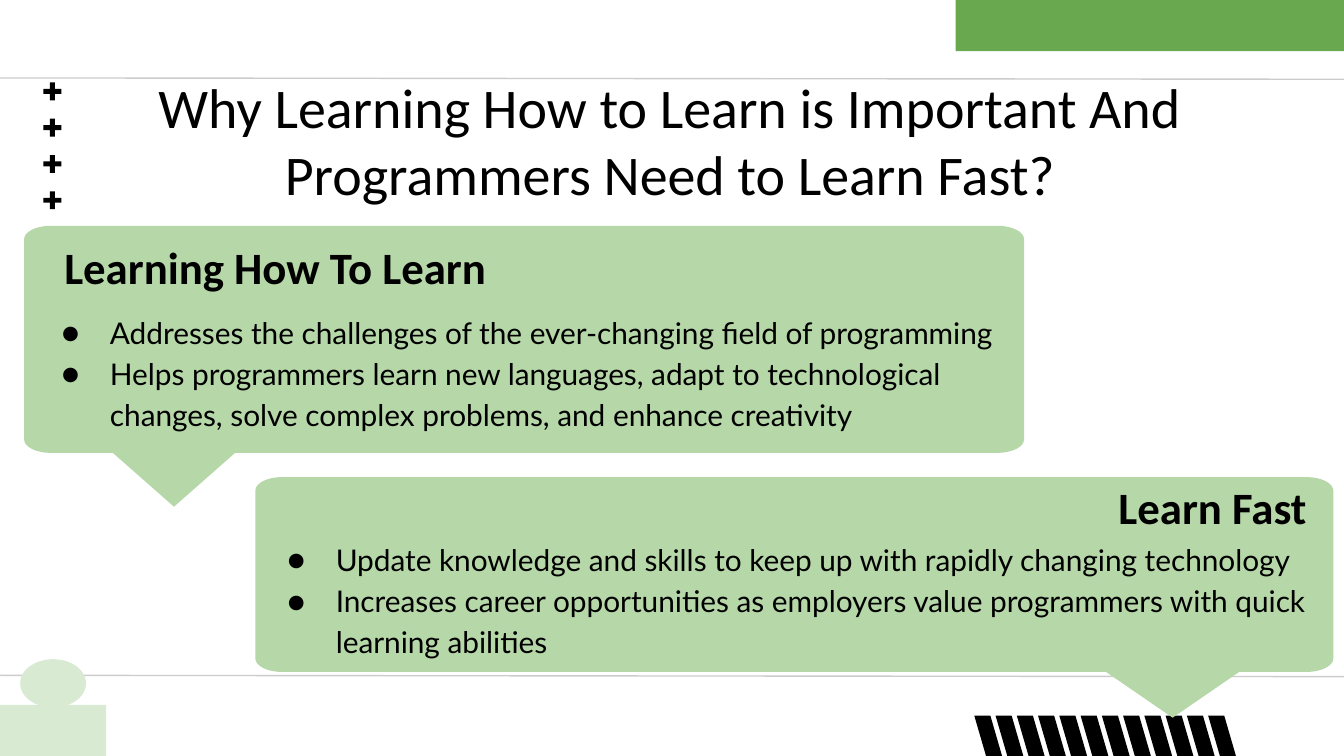
import math
from dataclasses import dataclass
from lxml import etree
from pptx import Presentation, util as u
from pptx.dml.color import RGBColor
from pptx.enum import shapes, text
from pptx.oxml import ns


@dataclass(frozen=True)
class Theme:
    ink: str = "000000"
    rule: str = "CCCCCC"
    banner: str = "6AA850"
    pale: str = "D9EAD3"
    bubble: str = "B6D7A8"
    heading_font: str = "Calibri"
    body_font: str = "Lato"
    title_size: int = 30
    heading_size: int = 24
    body_size: int = 16


THEME = Theme()
SHAPE = shapes.MSO_SHAPE
ALIGN = text.PP_ALIGN
ANCHOR = text.MSO_ANCHOR
SLIDE_WIDTH = 10
SLIDE_HEIGHT = SLIDE_WIDTH * 9 / 16


def inches(*lengths):
    return [u.Inches(length) for length in lengths]


def paint(shape, color):
    shape.shadow.inherit = False
    shape.fill.solid()
    shape.fill.fore_color.rgb = RGBColor.from_string(color)
    shape.line.fill.background()


def add_block(slide, kind, box, color):
    block = slide.shapes.add_shape(kind, *inches(*box))
    paint(block, color)
    return block


def set_font(paragraph, name, size, bold=False):
    paragraph.font.name = name
    paragraph.font.size = u.Pt(size)
    paragraph.font.bold = bold
    paragraph.font.color.rgb = RGBColor.from_string(THEME.ink)


def set_frame(frame, anchor):
    frame.word_wrap = True
    frame.auto_size = text.MSO_AUTO_SIZE.NONE
    frame.vertical_anchor = anchor
    frame.margin_left = frame.margin_right = u.Inches(0.1)
    frame.margin_top = frame.margin_bottom = u.Inches(0.1)


def add_bullet(paragraph):
    properties = paragraph._p.get_or_add_pPr()
    properties.set("marL", str(u.Inches(0.5)))
    properties.set("indent", str(u.Inches(-0.36)))
    color = etree.SubElement(properties, ns.qn("a:buClr"))
    etree.SubElement(color, ns.qn("a:srgbClr"), val=THEME.ink)
    etree.SubElement(properties, ns.qn("a:buFont"), typeface=THEME.body_font)
    etree.SubElement(properties, ns.qn("a:buChar"), char="●")


def add_rule(slide, start, end):
    rule = slide.shapes.add_connector(
        shapes.MSO_CONNECTOR.STRAIGHT, *inches(*start, *end))
    rule.line.color.rgb = RGBColor.from_string(THEME.rule)
    rule.line.width = u.Pt(0.75)
    etree.SubElement(rule._element.spPr, ns.qn("a:effectLst"))


def add_plus_column(slide, box, count):
    left, top, size, pitch = box
    for row in range(count):
        plus = add_block(slide, SHAPE.MATH_PLUS,
                         (left, top + row * pitch, size, size), THEME.ink)
        plus.adjustments[0] = 0.2


def add_stripes(slide, box, count):
    left, top, width, height = box
    stripe_width = 0.23
    pitch = (width - stripe_width) / (count - 1)
    for column in range(count):
        stripe = add_block(slide, SHAPE.PARALLELOGRAM,
                           (left + column * pitch, top, stripe_width, height), THEME.ink)
        stripe.adjustments[0] = 0.48
        stripe._element.spPr.xfrm.set("flipH", "1")


def add_decoration(slide, box):
    left, top, width, height = box
    right, bottom = left + width, top + height
    add_rule(slide, (left, top + 0.58), (right, top + 0.59))
    add_rule(slide, (left, bottom - 0.6), (right, bottom - 0.59))
    add_block(slide, SHAPE.RECTANGLE, (right - 2.89, top, 2.89, 0.38), THEME.banner)
    add_block(slide, SHAPE.RECTANGLE, (left, bottom - 0.38, 0.79, 0.38), THEME.pale)
    add_block(slide, SHAPE.OVAL, (left + 0.15, bottom - 0.72, 0.49, 0.36), THEME.pale)
    add_plus_column(slide, (left + 0.3, top + 0.59, 0.18, 0.27), 4)
    add_stripes(slide, (left + 7.25, bottom - 0.3, 1.97, 0.38), 12)


def add_title(slide, box, wording):
    title = slide.shapes.title
    title.left, title.top, title.width, title.height = inches(*box)
    set_frame(title.text_frame, ANCHOR.TOP)
    title.text_frame.text = wording
    paragraph = title.text_frame.paragraphs[0]
    paragraph.alignment = ALIGN.CENTER
    paragraph.line_spacing = 1.0
    set_font(paragraph, THEME.heading_font, THEME.title_size)


def add_bubble_outline(slide, box, tail_left, tail_width, tail_depth):
    left, top, width, height = box
    right, bottom = left + width, top + height
    radius_x, radius_y, steps = 0.2, 0.1, 8
    corners = [(right - radius_x, top + radius_y, -90),
               (right - radius_x, bottom - radius_y, 0),
               (left + radius_x, bottom - radius_y, 90),
               (left + radius_x, top + radius_y, 180)]
    arcs = []
    for center_x, center_y, start in corners:
        angles = [math.radians(start + 90 * step / steps) for step in range(steps + 1)]
        arcs.append([(center_x + radius_x * math.cos(angle),
                      center_y + radius_y * math.sin(angle)) for angle in angles])
    tail_start = left + tail_left
    tail = [(tail_start + tail_width, bottom),
            (tail_start + tail_width / 2, bottom + tail_depth),
            (tail_start, bottom)]
    outline = arcs[0] + arcs[1] + tail + arcs[2] + arcs[3]
    points = [inches(*point) for point in outline]
    builder = slide.shapes.build_freeform(*points[0])
    builder.add_line_segments(points[1:], close=True)
    paint(builder.convert_to_shape(), THEME.bubble)


def add_bubble(slide, box, tail, heading, heading_box, align, points, list_box):
    left, top = box[:2]
    add_bubble_outline(slide, box, *tail)

    def add_text(part_box, anchor):
        x, y, width, height = part_box
        frame = slide.shapes.add_textbox(*inches(left + x, top + y, width, height)).text_frame
        set_frame(frame, anchor)
        return frame

    points_frame = add_text(list_box, ANCHOR.TOP)
    points_frame.text = "\n".join(points)
    for paragraph in points_frame.paragraphs:
        add_bullet(paragraph)
        paragraph.line_spacing = 1.15
        set_font(paragraph, THEME.body_font, THEME.body_size)

    heading_frame = add_text(heading_box, ANCHOR.BOTTOM)
    heading_frame.text = heading
    paragraph = heading_frame.paragraphs[0]
    paragraph.alignment = align
    set_font(paragraph, THEME.heading_font, THEME.heading_size, bold=True)


def main():
    deck = Presentation()
    deck.slide_width, deck.slide_height = inches(SLIDE_WIDTH, SLIDE_HEIGHT)
    slide = deck.slides.add_slide(deck.slide_layouts[5])
    add_decoration(slide, (0, 0, SLIDE_WIDTH, SLIDE_HEIGHT))
    add_title(slide, (0.98, 0.44, 8.01, 1.09),
              "Why Learning How to Learn is Important And Programmers Need to Learn Fast?")
    add_bubble(slide, (0.18, 1.68, 7.44, 1.69), (0.66, 0.91, 0.4),
               "Learning How To Learn", (0.2, 0.08, 4.61, 0.52), ALIGN.LEFT,
               ["Addresses the challenges of the ever-changing field of programming",
                "Helps programmers learn new languages, adapt to technological changes, "
                "solve complex problems, and enhance creativity"],
               (0.04, 0.52, 7.4, 1.09))
    add_bubble(slide, (1.9, 3.55, 8.02, 1.45), (6.33, 0.99, 0.34),
               "Learn Fast", (3.31, 0, 4.61, 0.52), ALIGN.RIGHT,
               ["Update knowledge and skills to keep up with rapidly changing technology",
                "Increases career opportunities as employers value programmers with quick "
                "learning abilities"],
               (0, 0.34, 7.92, 0.97))
    deck.save("out.pptx")


if __name__ == "__main__":
    main()
